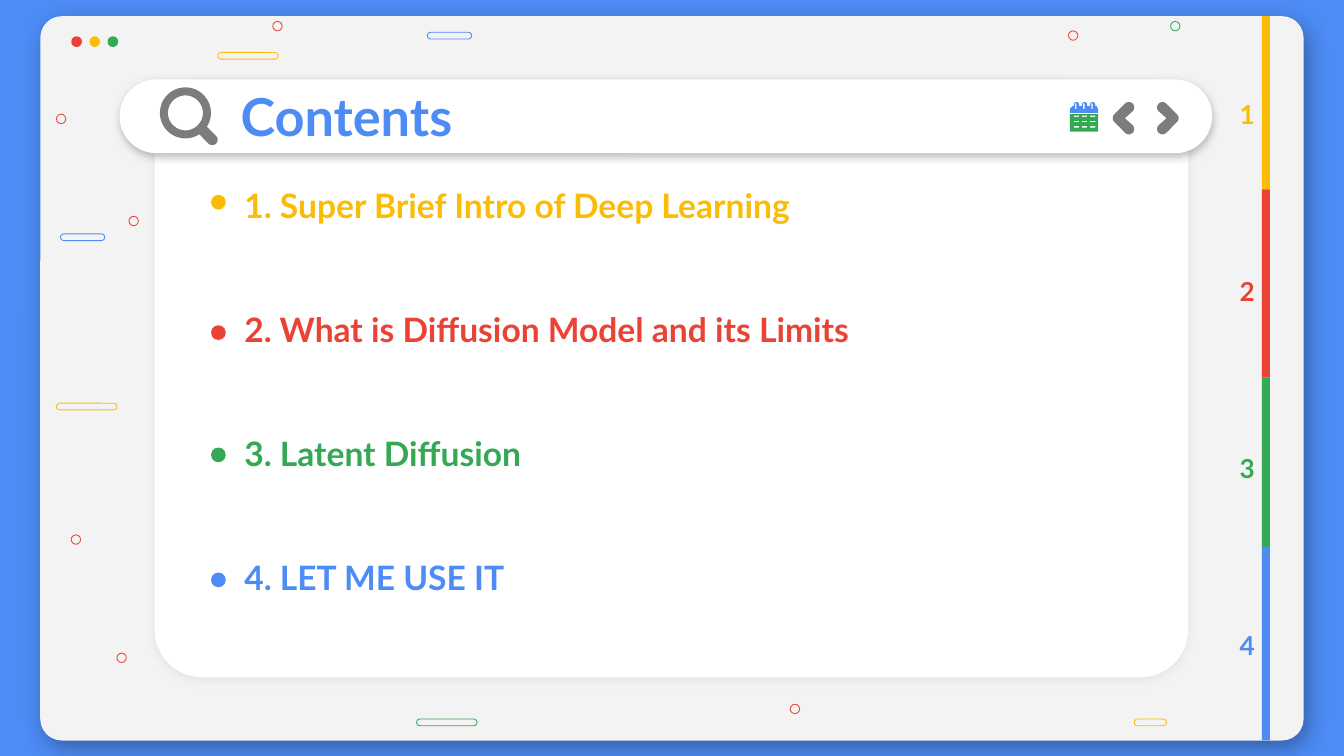
from math import cos, radians, sin

from lxml.etree import SubElement
from pptx import Presentation
from pptx.dml.color import RGBColor
from pptx.enum.shapes import MSO_SHAPE as Preset
from pptx.enum.text import MSO_ANCHOR as Anchor, MSO_AUTO_SIZE as AutoSize, PP_ALIGN as Align
from pptx.oxml.ns import qn
from pptx.util import Inches, Pt

BLUE, YELLOW, RED, GREEN = "4D8CF5", "FBBC05", "EA4335", "34A853"
WHITE, GREY, PALE = "FFFFFF", "7C7C7C", "F3F3F3"

TOPICS = [
    ("1. Super Brief Intro of Deep Learning", YELLOW, 1.45),
    ("2. What is Diffusion Model and its Limits", RED, 2.42),
    ("3. Latent Diffusion", GREEN, 3.33),
    ("4. LET ME USE IT", BLUE, 4.26),
]
BAR_EDGES = [0.12, 1.41, 2.81, 4.07, 5.51]
PILLS = [
    (8.44, 5.35, 0.24, YELLOW), (3.1, 5.35, 0.45, GREEN), (0.45, 1.74, 0.33, BLUE),
    (0.42, 3, 0.45, YELLOW), (3.18, 0.24, 0.33, BLUE), (1.62, 0.39, 0.45, YELLOW),
]
RINGS = [
    (0.53, 3.98, RED), (0.96, 1.61, RED), (0.42, 0.85, RED), (0.87, 4.86, RED),
    (7.95, 0.23, RED), (8.71, 0.16, GREEN), (2.03, 0.16, RED), (5.88, 5.24, RED),
]


def color(value):
    """Turn a hex string into a colour."""
    return RGBColor.from_string(value)


def paint(shape, fill=None, line=None):
    """Set the fill and outline of a shape and remove its shadow."""
    shape.shadow.inherit = False
    if fill:
        shape.fill.solid()
        shape.fill.fore_color.rgb = color(fill)
    else:
        shape.fill.background()
    if line:
        shape.line.color.rgb = color(line)
        shape.line.width = Pt(0.44)
    else:
        shape.line.fill.background()
    return shape


def add_preset(slide, preset, left, top, width, height, fill=None, line=None, corner=None):
    """Add a preset shape."""
    shape = slide.shapes.add_shape(
        preset, Inches(left), Inches(top), Inches(width), Inches(height))
    if corner is not None:
        shape.adjustments[0] = corner
    return paint(shape, fill, line)


def add_shadow(shape, value, opacity, blur, distance, direction):
    """Give a shape a soft outer shadow."""
    effects = shape._element.spPr.find(qn("a:effectLst"))
    shadow = SubElement(
        effects, qn("a:outerShdw"), blurRad=str(Pt(blur)), dist=str(Pt(distance)),
        dir=str(direction * 60000), algn="bl", rotWithShape="0")
    tint = SubElement(shadow, qn("a:srgbClr"), val=value)
    SubElement(tint, qn("a:alpha"), val=str(opacity * 1000))


def add_outline(slide, contours, fill):
    """Add one filled freeform made of closed contours."""
    builder = None
    for contour in contours:
        points = [(Inches(x), Inches(y)) for x, y in contour]
        if builder is None:
            builder = slide.shapes.build_freeform(*points[0])
        else:
            builder.move_to(*points[0])
        builder.add_line_segments(points[1:], close=True)
    return paint(builder.convert_to_shape(), fill)


def arc(x, y, radius, start, end):
    """List points along an arc, with angles in degrees clockwise."""
    steps = max(8, round(abs(end - start) / 6))
    angles = [radians(start + (end - start) * i / steps) for i in range(steps + 1)]
    return [(x + radius * cos(a), y + radius * sin(a)) for a in angles]


def box(left, top, width, height):
    """List the corners of a rectangle."""
    right, bottom = left + width, top + height
    return [(left, top), (right, top), (right, bottom), (left, bottom)]


def write_text(shape, text, size, value, align=Align.LEFT):
    """Write bold text in a shape, centred vertically."""
    frame = shape.text_frame
    frame.word_wrap = True
    frame.auto_size = AutoSize.NONE
    frame.vertical_anchor = Anchor.MIDDLE
    frame.margin_left = frame.margin_right = Inches(0.1)
    frame.margin_top = frame.margin_bottom = Inches(0.1)
    paragraph = frame.paragraphs[0]
    paragraph.alignment = align
    run = paragraph.add_run()
    run.text = text
    run.font.name = "Lato"
    run.font.size = Pt(size)
    run.font.bold = True
    run.font.color.rgb = color(value)


def add_text(slide, left, top, width, height, text, **style):
    """Add a text box."""
    shape = slide.shapes.add_textbox(
        Inches(left), Inches(top), Inches(width), Inches(height))
    write_text(shape, text, **style)


def add_window(slide):
    """Add the browser window, its content panel and the decorations."""
    window = add_preset(slide, Preset.ROUNDED_RECTANGLE, 0.3, 0.12, 9.4, 5.39,
                        PALE, corner=0.03)
    add_shadow(window, "000000", 32, 12.4, 5.2, 57)
    panel = add_preset(slide, Preset.ROUNDED_RECTANGLE, 1.15, 0.6, 7.69, 4.44,
                       WHITE, corner=0.08)
    add_shadow(panel, GREY, 12, 4.5, 1.5, 90)
    for i, fill in enumerate([RED, YELLOW, GREEN]):
        add_preset(slide, Preset.OVAL, 0.53 + 0.27 * i / 2, 0.27, 0.08, 0.08, fill)
    for left, top, width, line in PILLS:
        add_preset(slide, Preset.ROUNDED_RECTANGLE, left, top, width, 0.05,
                   line=line, corner=0.5)
    for left, top, line in RINGS:
        add_preset(slide, Preset.OVAL, left, top, 0.07, 0.07, line=line)


def add_search_bar(slide):
    """Add the search bar with its magnifier and the title."""
    bar = add_preset(slide, Preset.ROUNDED_RECTANGLE, 0.89, 0.59, 8.13, 0.55,
                     WHITE, corner=0.5)
    add_shadow(bar, GREY, 50, 4.5, 1.5, 90)
    rim = arc(1.38, 0.84, 0.19, 57, 393)
    handle = arc(1.58, 1.04, 0.04, -45, 135)
    add_outline(slide, [rim + handle, arc(1.38, 0.84, 0.13, 360, 0)], GREY)
    title = slide.shapes.title
    title.left, title.top = Inches(1.69), Inches(0.6)
    title.width, title.height = Inches(7.09), Inches(0.52)
    write_text(title, "Contents", size=28, value=BLUE)
    slide.shapes._spTree.append(title._element)


def add_topics(slide):
    """Add the topics with their bullets, side bars and numbers."""
    topic_step, number_step = (4.13 - 1.36) / 3, (4.67 - 0.72) / 3
    for i, (text, value, bullet_top) in enumerate(TOPICS):
        add_text(slide, 1.72, 1.36 + topic_step * i, 6.83, 0.33, text,
                 size=18, value=value)
        add_preset(slide, Preset.OVAL, 1.57, bullet_top, 0.11, 0.11, value)
        top, bottom = BAR_EDGES[i:i + 2]
        add_preset(slide, Preset.RECTANGLE, 9.39, top, 0.06, bottom - top, value)
        add_text(slide, 9.04, 0.72 + number_step * i, 0.48, 0.26, str(i + 1),
                 size=14, value=value, align=Align.CENTER)


def add_chevron(slide, left, side):
    """Add a rounded chevron, pointing right for side 1 and left for -1."""
    points = (arc(-0.04, -0.08, 0.04, -221, -41) + arc(0.04, 0, 0.04, -41, 41)
              + arc(-0.04, 0.08, 0.04, 41, 221) + [(-0.01, 0)])
    add_outline(slide, [[(left + 0.08 + side * x, 0.88 + y) for x, y in points]], GREY)


def add_calendar(slide):
    """Add the calendar icon."""
    columns = [8.01, 8.07, 8.13]
    cells = [box(x - 0.02, y, 0.04, 0.01) for y in (0.86, 0.9, 0.94) for x in columns]
    add_outline(slide, [box(7.96, 0.85, 0.21, 0.13)] + cells, GREEN)
    header = [(7.96, 0.84), (7.96, 0.81), (7.98, 0.79)]
    for x in columns:
        header += [(x - 0.02, 0.79)] + arc(x, 0.78, 0.02, 180, 360) + [(x + 0.02, 0.79)]
    header += [(8.16, 0.79), (8.17, 0.81), (8.17, 0.84)]
    slots = [box(x - 0.01, 0.77, 0.01, 0.04) for x in columns]
    add_outline(slide, [header] + slots, BLUE)


def main():
    """Build and save the contents slide."""
    presentation = Presentation()
    presentation.slide_width = Inches(10)
    presentation.slide_height = Inches(10 * 9 / 16)
    slide = presentation.slides.add_slide(presentation.slide_layouts[5])
    slide.background.fill.solid()
    slide.background.fill.fore_color.rgb = color(BLUE)
    add_window(slide)
    add_search_bar(slide)
    add_topics(slide)
    add_chevron(slide, 8.61, 1)
    add_chevron(slide, 8.28, -1)
    add_calendar(slide)
    presentation.save("out.pptx")


if __name__ == "__main__":
    main()
